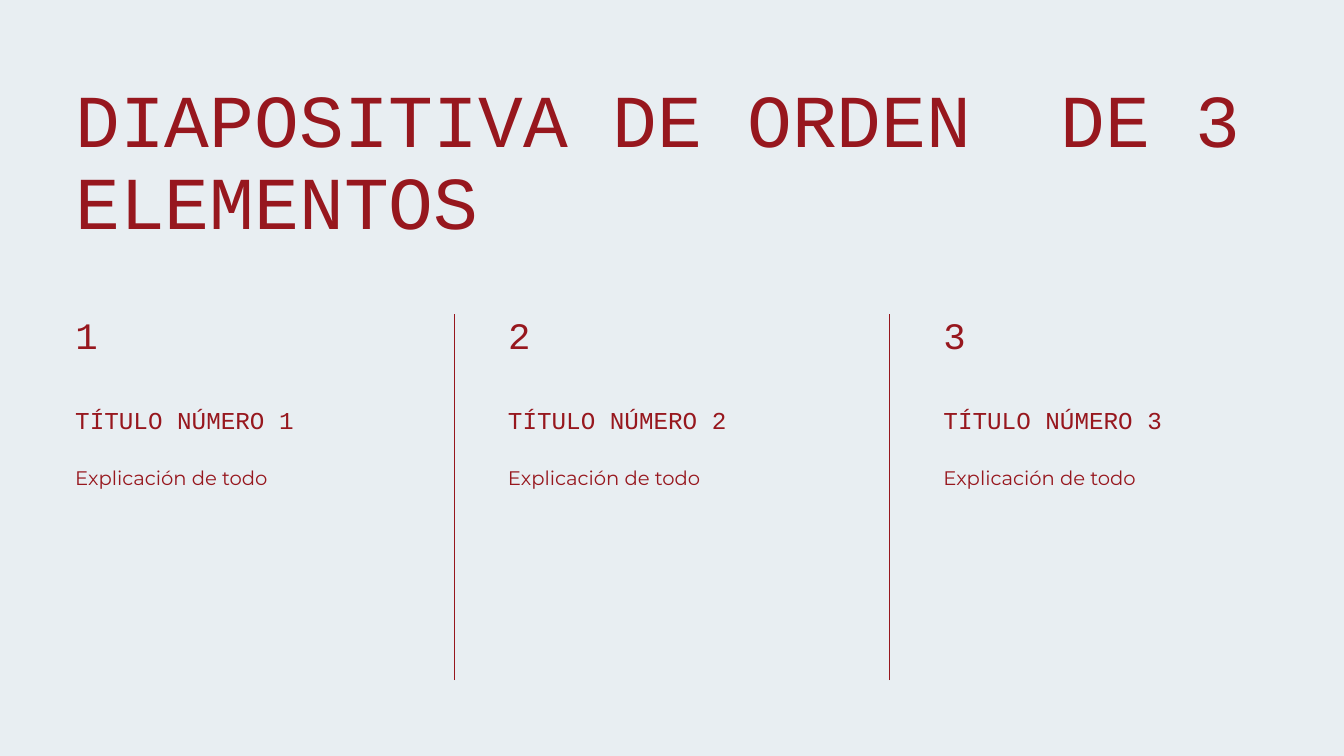
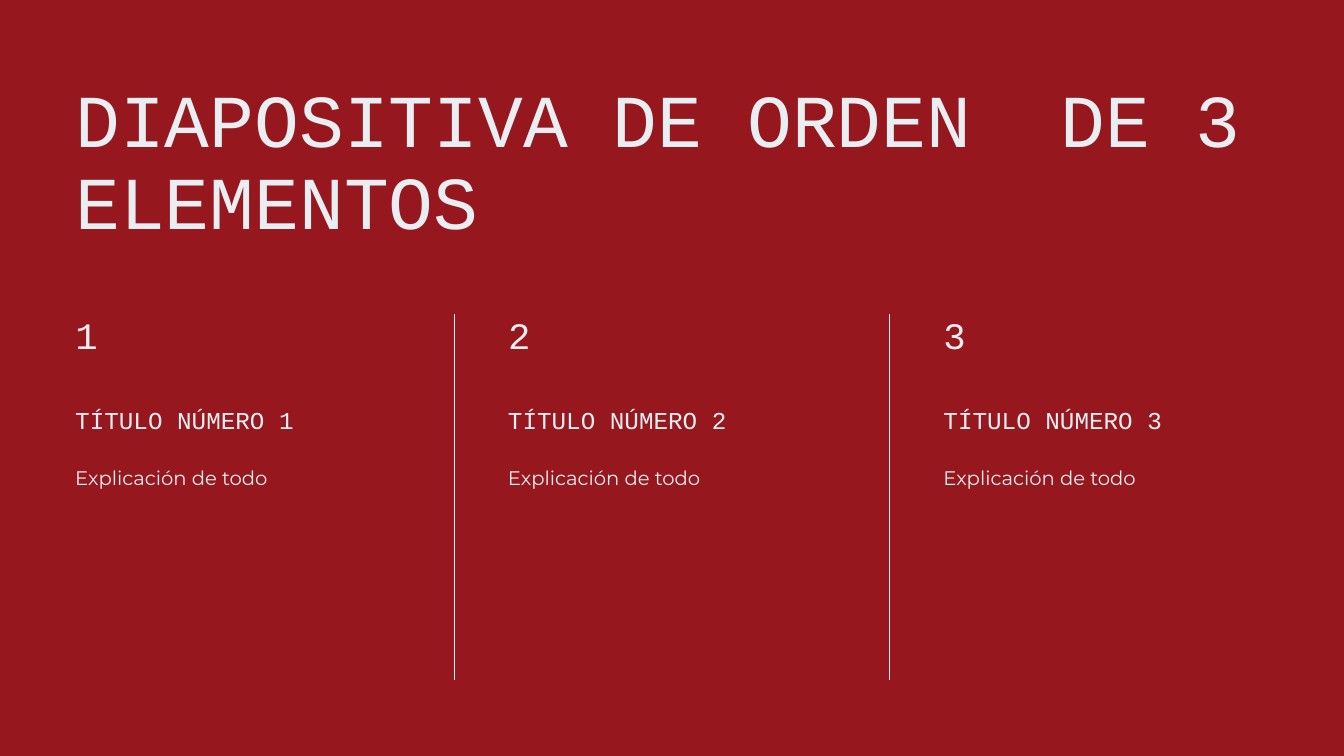
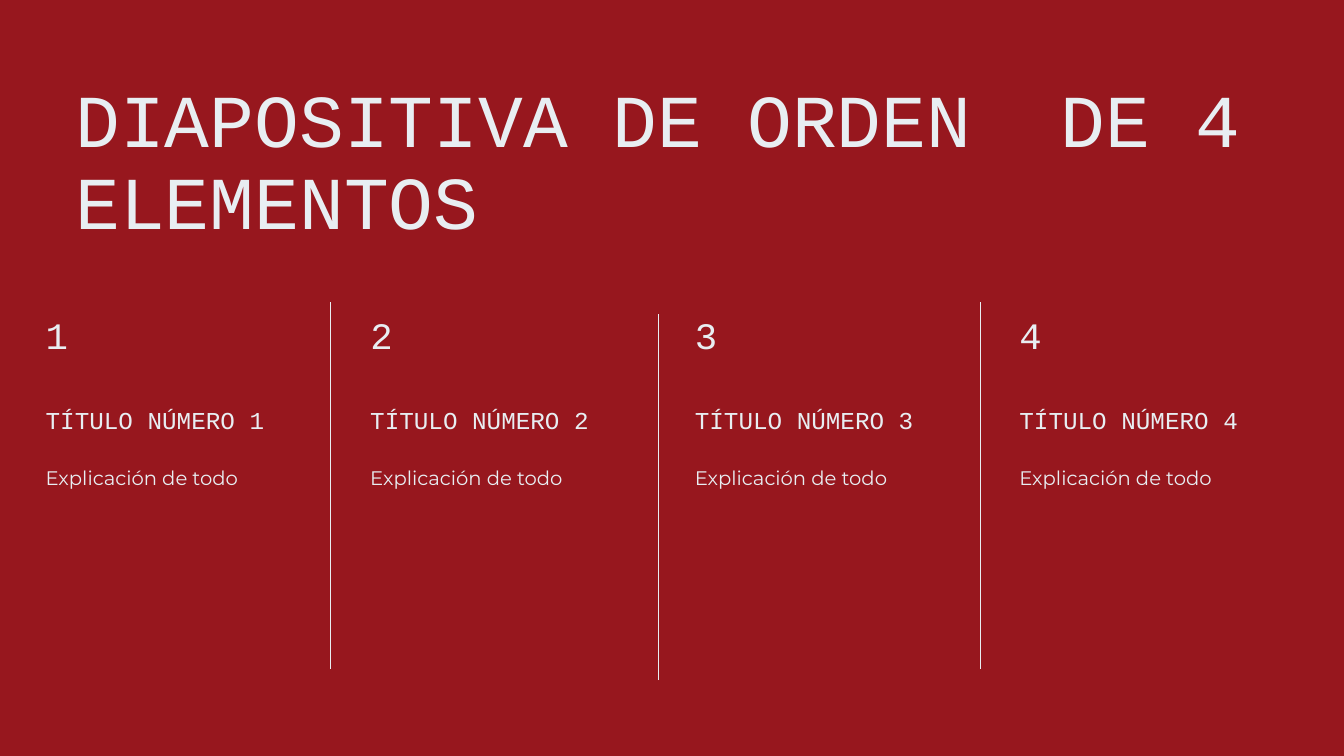
"""Build three slides of numbered columns in a red and pale two-colour theme."""
from lxml.etree import SubElement
from pptx import Presentation
from pptx.dml.color import RGBColor
from pptx.enum.shapes import MSO_CONNECTOR
from pptx.enum.text import MSO_AUTO_SIZE
from pptx.oxml.ns import qn
from pptx.util import Inches, Pt

RED = RGBColor(0x97, 0x17, 0x1E)
PALE = RGBColor(0xE8, 0xEE, 0xF2)

EXPLANATION = "Explicación de todo"
THREE_COLUMNS = {
    "title": "DIAPOSITIVA DE ORDEN  DE 3 ELEMENTOS",
    "lefts": [1.12, 7.56, 14.04],
    "widths": [4.83] * 3,
    "dividers": [(6.76, 4.67), (13.24, 4.67)],
}
FOUR_COLUMNS = {
    "title": "DIAPOSITIVA DE ORDEN  DE 4 ELEMENTOS",
    "lefts": [0.68 + 4.83 * index for index in range(4)],
    "widths": [3.9, 3.93, 3.93, 4.09],
    "dividers": [(4.92, 4.5), (9.8, 4.67), (14.59, 4.5)],
}
SLIDES = [
    (THREE_COLUMNS, PALE, RED),
    (THREE_COLUMNS, RED, PALE),
    (FOUR_COLUMNS, RED, PALE),
]

DIVIDER_HEIGHT = 5.45
STYLES = {
    "title": {"font": "Courier New", "size": 80, "spacing": 88, "top": 1.19, "height": 2.49},
    "number": {"font": "Courier New", "size": 40, "spacing": 40, "top": 4.75, "height": 0.59},
    "heading": {"font": "Courier New", "size": 26, "spacing": 36.4, "top": 5.96, "height": 0.47},
    "body": {"font": "Montserrat", "size": 21, "spacing": 29.4, "top": 6.87, "height": 0.38},
}


def add_text(shapes, text, style_name, left, width, color):
    style = STYLES[style_name]
    box = shapes.add_textbox(
        Inches(left), Inches(style["top"]), Inches(width), Inches(style["height"])
    )
    frame = box.text_frame
    frame.margin_left = frame.margin_right = frame.margin_top = frame.margin_bottom = 0
    frame.word_wrap = True
    frame.auto_size = MSO_AUTO_SIZE.SHAPE_TO_FIT_TEXT
    paragraph = frame.paragraphs[0]
    paragraph.text = text
    paragraph.line_spacing = Pt(style["spacing"])
    paragraph.font.name = style["font"]
    paragraph.font.size = Pt(style["size"])
    paragraph.font.color.rgb = color


def add_divider(slide, left, top, color):
    divider = slide.shapes.add_connector(
        MSO_CONNECTOR.STRAIGHT,
        Inches(left), Inches(top + DIVIDER_HEIGHT), Inches(left), Inches(top),
    )
    divider.line.color.rgb = color
    divider.line.width = Pt(0.75)
    SubElement(divider._element.spPr, qn("a:effectLst"))


def add_column(slide, number, left, width, color):
    add_text(slide.shapes, str(number), "number", left, 0.62, color)
    group = slide.shapes.add_group_shape()
    add_text(group.shapes, EXPLANATION, "body", left, width, color)
    add_text(group.shapes, f"TÍTULO NÚMERO {number}", "heading", left, width, color)


def add_order_slide(presentation, content, background, color):
    slide = presentation.slides.add_slide(presentation.slide_layouts[6])
    slide.background.fill.solid()
    slide.background.fill.fore_color.rgb = background
    add_text(slide.shapes, content["title"], "title", 1.12, 17.75, color)
    columns = zip(content["lefts"], content["widths"])
    for number, (left, width) in enumerate(columns, start=1):
        add_column(slide, number, left, width, color)
    for left, top in content["dividers"]:
        add_divider(slide, left, top, color)


def main():
    presentation = Presentation()
    presentation.slide_width = Inches(20)
    presentation.slide_height = Inches(11.25)
    for content, background, color in SLIDES:
        add_order_slide(presentation, content, background, color)
    presentation.save("out.pptx")


if __name__ == "__main__":
    main()
